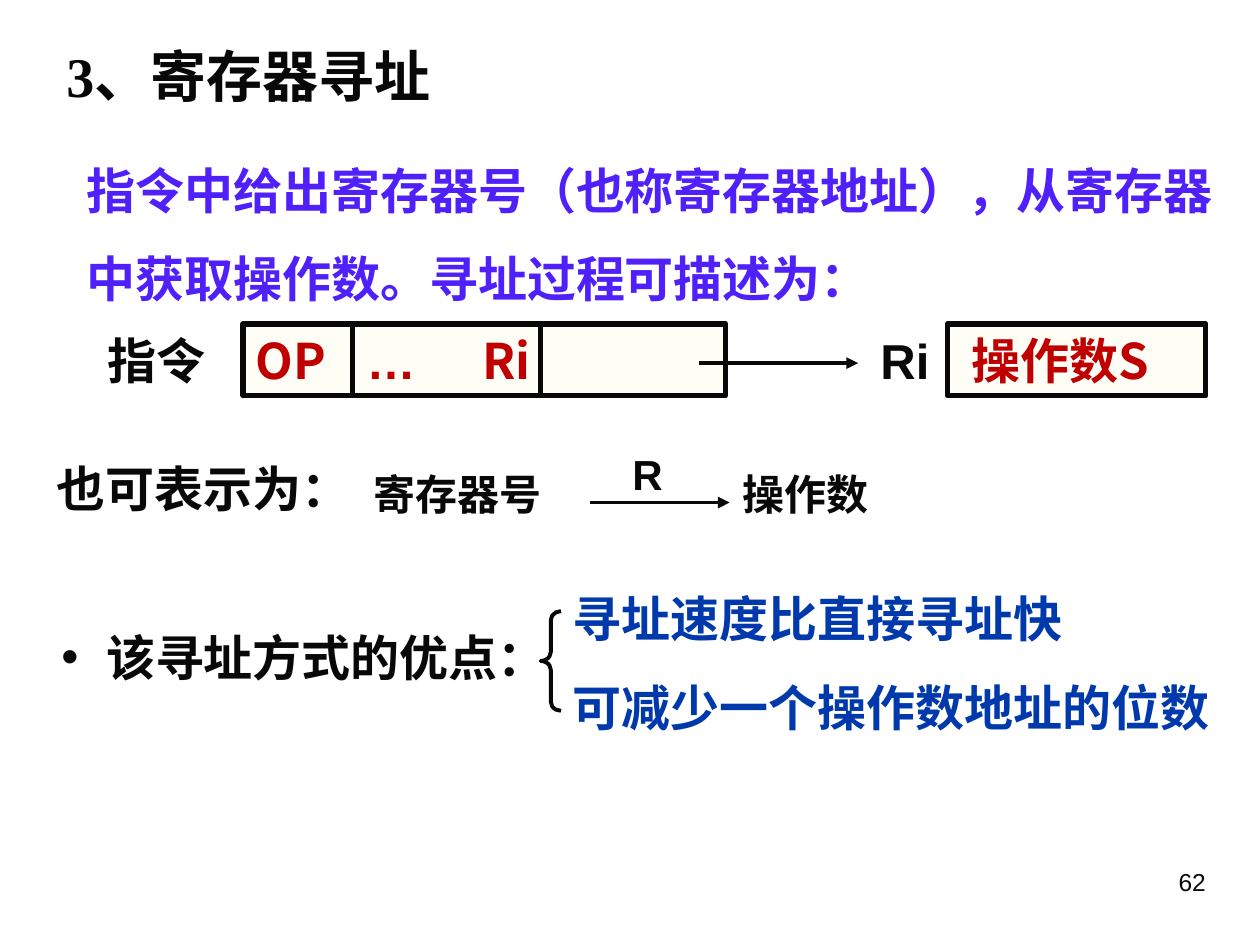
"""Build the slide that explains register addressing."""
from dataclasses import dataclass
from typing import Optional

import pptx
import pptx.dml.color
import pptx.enum.shapes
import pptx.enum.text
import pptx.oxml
import pptx.oxml.ns
import pptx.util
from pptx.util import Cm, Pt

INK, RED, VIOLET, BLUE = "080808", "C00000", "4F20FA", "0039AC"
WHITE, CREAM = "FFFFFF", "FEFEF6"
ARIAL, SANS, TIMES = "Arial", "Noto Sans CJK SC", "Times New Roman"
ROW_TOP, ROW_HEIGHT = 6.53, 1.45
ALIGN = pptx.enum.text.PP_ALIGN


@dataclass
class Label:
    text: str
    left: float
    top: float
    width: float
    height: float = ROW_HEIGHT
    font: str = ARIAL
    size: int = 28
    color: str = INK
    bold: bool = True
    fill: Optional[str] = None
    border: Optional[str] = None
    inset: float = 0.25
    spacing: float = 1.0
    align: ALIGN = ALIGN.LEFT


@dataclass
class Line:
    start: tuple[float, float]
    end: tuple[float, float]
    weight: float = 3
    arrow: bool = False


TITLE = Label("3、寄存器寻址", 1.09, 0.71, 10.16, 1.63, TIMES, 32)
INSTRUCTION = Label("OP", 4.9, ROW_TOP, 9.73, font=SANS, color=RED, fill=CREAM, border=INK)
ADVANTAGE = Label("该寻址方式的优点：", 0.69, 12.52, 11, font=SANS)
LABELS = [
    Label("62", 18.21, 17.35, 6.35, 1.32, size=14, bold=False, align=ALIGN.RIGHT),
    Label("指令中给出寄存器号（也称寄存器地址），从寄存器中获取操作数。寻址过程可描述为：",
          1.5, 2.51, 23.9, 3.81, TIMES, color=VIOLET, fill=WHITE, spacing=1.5),
    Label("指令", 1.91, ROW_TOP, 2.9, font=TIMES),
    Label("Ri", 17.5, ROW_TOP, 1.5),
    Label("操作数S", 19.1, ROW_TOP, 5.21, font=SANS, color=RED, fill=CREAM, border=INK, inset=0.48),
    Label("也可表示为：", 0.89, 9.12, 8.41, font=SANS),
    Label("寄存器号", 7.29, 9.32, 6.6, 1.27, size=24),
    Label("操作数", 14.71, 9.32, 3.81, 1.27, size=24),
    Label("R", 12.5, 8.92, 1.6, 1.27, size=24),
    Label("寻址速度比直接寻址快\n可减少一个操作数地址的位数", 11.3, 11.73, 14.1, 3.25, SANS, color=BLUE),
]
LINES = [
    *(Line((x, ROW_TOP), (x, ROW_TOP + ROW_HEIGHT)) for x in (7.11, 10.9)),
    Line((14.1, 7.32), (17.3, 7.32), 2.25, True),
    Line((11.89, 10.13), (14.71, 10.13), 2.25, True),
]


def rgb(color: str) -> pptx.dml.color.RGBColor:
    return pptx.dml.color.RGBColor.from_string(color)


def add_element(parent, tag: str, **attributes: str):
    element = pptx.oxml.parse_xml(f"<a:{tag} {pptx.oxml.ns.nsdecls('a')}/>")
    for key, value in attributes.items():
        element.set(key, value)
    parent.append(element)
    return element


def format_span(span, label: Label, font: str) -> None:
    span.font.name = font
    span.font.size = Pt(label.size)
    span.font.bold = label.bold
    span.font.color.rgb = rgb(label.color)
    add_element(span.font._element, "ea", typeface=SANS)


def fill_box(box, label: Label) -> None:
    box.left, box.top = Cm(label.left), Cm(label.top)
    box.width, box.height = Cm(label.width), Cm(label.height)
    frame = box.text_frame
    frame.text = label.text
    frame.word_wrap = True
    frame.auto_size = pptx.enum.text.MSO_AUTO_SIZE.NONE
    frame.vertical_anchor = pptx.enum.text.MSO_ANCHOR.TOP
    frame.margin_left, frame.margin_right = Cm(label.inset), Cm(0.25)
    frame.margin_top = frame.margin_bottom = Cm(0.13)
    for index, para in enumerate(frame.paragraphs):
        para.alignment = label.align
        para.line_spacing = label.spacing
        para.space_before = Pt(17.5 if index else 0)
        for span in para.runs:
            format_span(span, label, label.font)


def add_label(page, label: Label):
    place = Cm(label.left), Cm(label.top), Cm(label.width), Cm(label.height)
    if label.fill:
        box = page.shapes.add_shape(pptx.enum.shapes.MSO_SHAPE.RECTANGLE, *place)
        box.shadow.inherit = False
        box.fill.solid()
        box.fill.fore_color.rgb = rgb(label.fill)
        if label.border:
            box.line.color.rgb = rgb(label.border)
            box.line.width = Pt(3)
        else:
            box.line.fill.background()
    else:
        box = page.shapes.add_textbox(*place)
    fill_box(box, label)
    return box


def add_line(page, line: Line) -> None:
    connector = page.shapes.add_connector(
        pptx.enum.shapes.MSO_CONNECTOR.STRAIGHT,
        *(Cm(value) for value in line.start + line.end))
    connector.line.color.rgb = rgb(INK)
    connector.line.width = Pt(line.weight)
    if line.arrow:
        add_element(connector.line._get_or_add_ln(), "tailEnd", type="triangle")
    add_element(connector._element.spPr, "effectLst")


def add_instruction(page) -> None:
    para = add_label(page, INSTRUCTION).text_frame.paragraphs[0]
    stops = add_element(para._p.get_or_add_pPr(), "tabLst")
    for text, font, stop in (("\t…", ARIAL, 2.24), ("\tRi", SANS, 4.57)):
        add_element(stops, "tab", pos=str(Cm(stop)), algn="l")
        span = para.add_run()
        span.text = text
        format_span(span, INSTRUCTION, font)


def add_advantage(page) -> None:
    para = add_label(page, ADVANTAGE).text_frame.paragraphs[0]
    properties = para._p.get_or_add_pPr()
    properties.set("marL", str(Cm(1.2)))
    properties.set("indent", str(Cm(-0.9)))
    add_element(properties, "buFont", typeface=ARIAL)
    add_element(properties, "buChar", char="•")


def add_brace(page) -> None:
    brace = page.shapes.add_shape(
        pptx.enum.shapes.MSO_SHAPE.LEFT_BRACE, Cm(10.9), Cm(12.32), Cm(0.41), Cm(2.01))
    brace.adjustments[0] = 0.44
    brace.shadow.inherit = False
    brace.fill.background()
    brace.line.color.rgb = rgb(INK)
    brace.line.width = Pt(2.25)


def main() -> None:
    deck = pptx.Presentation()
    deck.slide_width, deck.slide_height = Cm(25.4), Cm(19.05)
    page = deck.slides.add_slide(deck.slide_layouts[5])
    fill_box(page.shapes.title, TITLE)
    for label in LABELS:
        add_label(page, label)
    add_instruction(page)
    add_advantage(page)
    for line in LINES:
        add_line(page, line)
    add_brace(page)
    deck.save("out.pptx")


if __name__ == "__main__":
    main()
